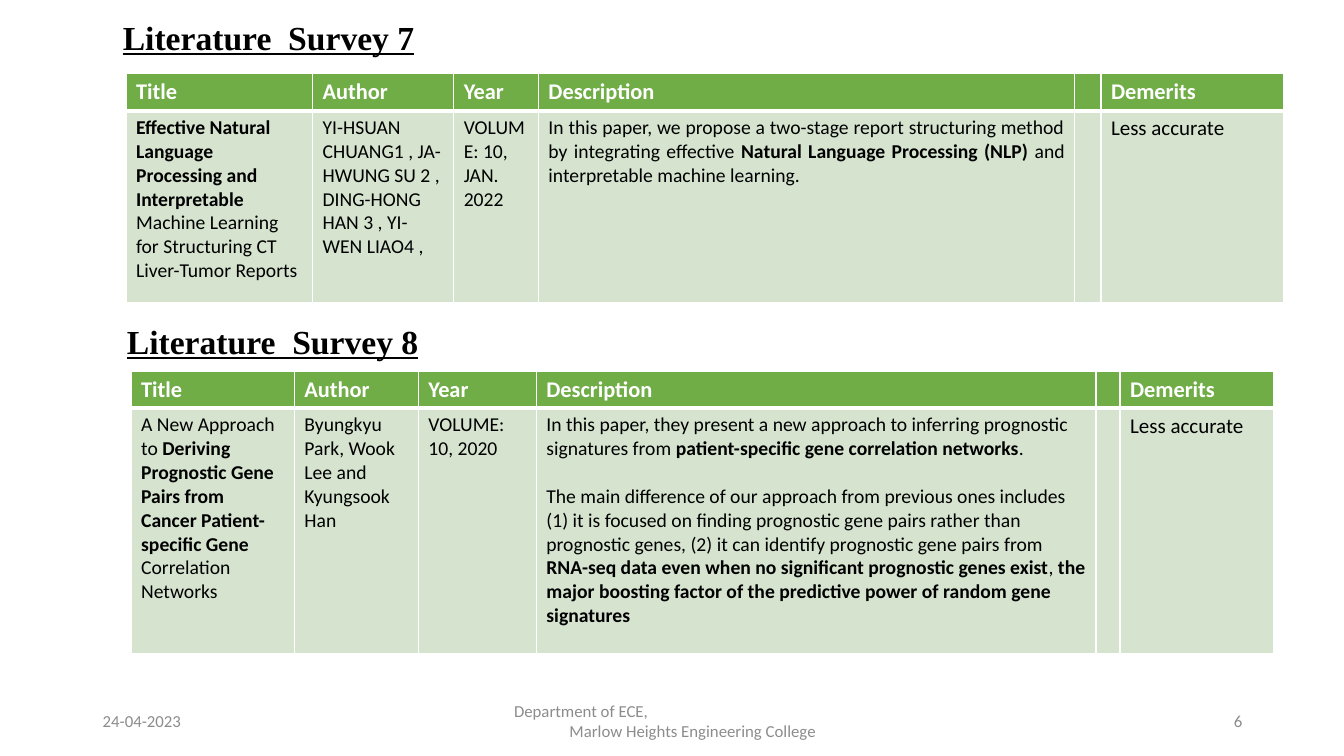
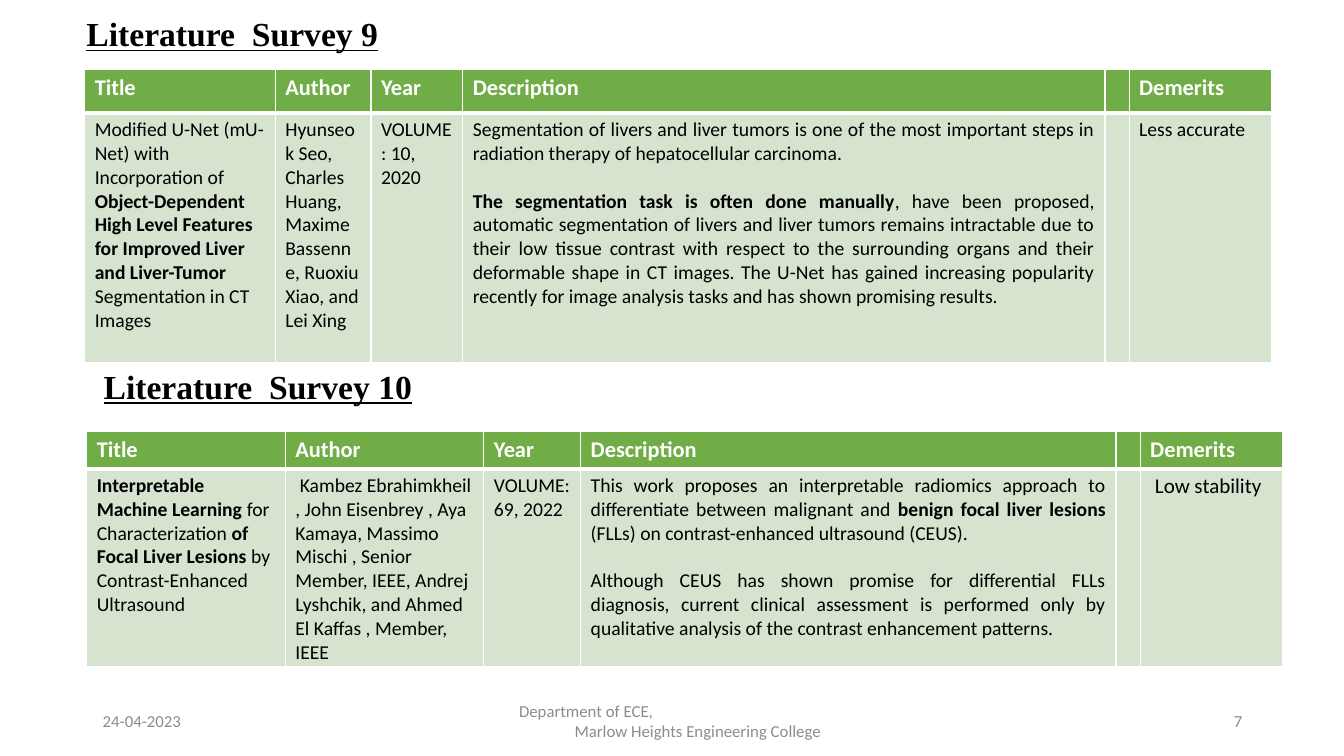
from lxml.etree import SubElement
from pptx import Presentation
from pptx.dml.color import RGBColor
from pptx.enum.text import MSO_ANCHOR as Anchor, PP_ALIGN as Align
from pptx.oxml.ns import qn
from pptx.util import Inches, Pt

GREEN = RGBColor(0x70, 0xAD, 0x47)
PALE_GREEN = RGBColor(0xD5, 0xE3, 0xCF)
WHITE = RGBColor(0xFF, 0xFF, 0xFF)
BLACK = RGBColor(0x00, 0x00, 0x00)
GREY = RGBColor(0x8C, 0x8C, 0x8C)
BODY_FONT = "Calibri"
HEADING_FONT = "Times New Roman"

HEADERS = ["Title", "Author", "Year", "Description", "", "Demerits"]
DESCRIPTION, DEMERITS = 3, 5
DATE = "24-04-2023"
DEPARTMENT = ["Department of ECE,", "Marlow Heights Engineering College"]

SLIDES = [
    {
        "number": 6,
        "department_indent": 0.58,
        "surveys": [
            {
                "heading": "Literature  Survey 7",
                "heading_box": (1.12, 0, 8.36, 0.78),
                "heading_spacing": 0.9,
                "table_at": (1.25, 0.73),
                "columns": [1.85, 1.4, 0.84, 5.32, 0.26, 1.81],
                "rows": [0.37, 1.9],
                "description_align": Align.JUSTIFY,
                "demerits_size": 15,
                "cells": [
                    ["**Effective Natural Language Processing and Interpretable **"
                     "Machine Learning for Structuring CT Liver-Tumor Reports"],
                    ["YI-HSUAN CHUANG1 , JA-HWUNG SU 2 , DING-HONG HAN 3 , YI-WEN LIAO4 ,"],
                    ["VOLUME: 10, JAN. 2022"],
                    ["In this paper, we propose a two-stage report structuring method by "
                     "integrating effective **Natural Language Processing (NLP)** and "
                     "interpretable machine learning."],
                    [""],
                    ["Less accurate"],
                ],
            },
            {
                "heading": "Literature  Survey 8",
                "heading_box": (1.16, 3.13, 5.42, 0.5),
                "heading_spacing": 1.0,
                "table_at": (1.3, 3.68),
                "columns": [1.62, 1.23, 1.17, 5.55, 0.23, 1.52],
                "rows": [0.37, 2.43],
                "description_align": Align.LEFT,
                "demerits_size": 15,
                "cells": [
                    ["A New Approach to **Deriving Prognostic Gene Pairs from Cancer "
                     "Patient-specific Gene **Correlation Networks"],
                    ["Byungkyu Park, Wook Lee and Kyungsook Han"],
                    ["VOLUME: 10, 2020"],
                    ["In this paper, they present a new approach to inferring prognostic "
                     "signatures from **patient-specific gene correlation networks**.",
                     "The main difference of our approach from previous ones includes (1) it "
                     "is focused on finding prognostic gene pairs rather than prognostic "
                     "genes, (2) it can identify prognostic gene pairs from **RNA-seq data "
                     "even when no significant prognostic genes exist**, **the major boosting "
                     "factor of the predictive power of random gene signatures**"],
                    [""],
                    ["Less accurate"],
                ],
            },
        ],
    },
    {
        "number": 7,
        "department_indent": 0.63,
        "surveys": [
            {
                "heading": "Literature  Survey 9",
                "heading_box": (0.76, 0, 11.5, 0.71),
                "heading_spacing": 0.9,
                "table_at": (0.84, 0.69),
                "columns": [1.89, 0.95, 0.91, 6.37, 0.23, 1.41],
                "rows": [0.43, 2.48],
                "description_align": Align.JUSTIFY,
                "demerits_size": 14,
                "cells": [
                    ["Modified U-Net (mU-Net) with Incorporation of **Object-Dependent High "
                     "Level Features for Improved Liver and Liver-Tumor **Segmentation in "
                     "CT Images"],
                    ["Hyunseok Seo, Charles Huang, Maxime Bassenne, Ruoxiu Xiao, and Lei Xing"],
                    ["VOLUME: 10, 2020"],
                    ["Segmentation of livers and liver tumors is one of the most important "
                     "steps in radiation therapy of hepatocellular carcinoma.",
                     "**The segmentation task is often done manually**, have been proposed, "
                     "automatic segmentation of livers and liver tumors remains intractable "
                     "due to their low tissue contrast with respect to the surrounding organs "
                     "and their deformable shape in CT images. The U-Net has gained increasing "
                     "popularity recently for image analysis tasks and has shown promising "
                     "results."],
                    [""],
                    ["Less accurate"],
                ],
            },
            {
                "heading": "Literature  Survey 10",
                "heading_box": (0.93, 3.58, 5.01, 0.5),
                "heading_spacing": 1.0,
                "table_at": (0.86, 4.28),
                "columns": [1.97, 1.97, 0.96, 5.31, 0.23, 1.41],
                "rows": [0.37, 1.96],
                "description_align": Align.JUSTIFY,
                "demerits_size": 15,
                "cells": [
                    ["**Interpretable Machine Learning** for Characterization **of Focal "
                     "Liver Lesions** by Contrast-Enhanced Ultrasound"],
                    [" Kambez Ebrahimkheil , John Eisenbrey , Aya Kamaya, Massimo Mischi , "
                     "Senior Member, IEEE, Andrej Lyshchik, and Ahmed El Kaffas , Member, IEEE"],
                    ["VOLUME: 69, 2022"],
                    ["This work proposes an interpretable radiomics approach to differentiate "
                     "between malignant and **benign focal liver lesions **(FLLs) on "
                     "contrast-enhanced ultrasound (CEUS).",
                     "Although CEUS has shown promise for differential FLLs diagnosis, current "
                     "clinical assessment is performed only by qualitative analysis of the "
                     "contrast enhancement patterns."],
                    [""],
                    [" Low stability"],
                ],
            },
        ],
    },
]


def write_paragraph(paragraph, text, size, color, font=BODY_FONT, align=Align.LEFT):
    paragraph.alignment = align
    if not text:
        SubElement(paragraph._p, qn("a:endParaRPr"), sz=str(size * 100))
    for index, part in enumerate(text.split("**")):
        if part:
            run = paragraph.add_run()
            run.text = part
            run.font.size = Pt(size)
            run.font.name = font
            run.font.color.rgb = color
            run.font.bold = index % 2 == 1


def add_textbox(slide, box, lines, size, color, font=BODY_FONT, align=Align.LEFT):
    frame = slide.shapes.add_textbox(*map(Inches, box)).text_frame
    frame.word_wrap = True
    frame.vertical_anchor = Anchor.MIDDLE
    for index, line in enumerate(lines):
        paragraph = frame.add_paragraph() if index else frame.paragraphs[0]
        write_paragraph(paragraph, line, size, color, font, align)
    return frame.paragraphs


def set_borders(cell, top, bottom):
    properties = cell._tc.get_or_add_tcPr()
    for side, width in (("L", 1), ("R", 1), ("T", top), ("B", bottom)):
        line = SubElement(properties, qn(f"a:ln{side}"), w=str(Pt(width)))
        fill = SubElement(line, qn("a:solidFill"))
        SubElement(fill, qn("a:srgbClr"), val=str(WHITE))


def fill_cell(cell, paragraphs, size, color, background, borders, align=Align.LEFT):
    set_borders(cell, *borders)
    cell.fill.solid()
    cell.fill.fore_color.rgb = background
    frame = cell.text_frame
    for index, text in enumerate(paragraphs):
        paragraph = frame.add_paragraph() if index else frame.paragraphs[0]
        write_paragraph(paragraph, text, size, color, align=align)
        if index:
            paragraph.space_before = Pt(17)


def add_survey(slide, survey):
    heading = add_textbox(slide, survey["heading_box"], [f"**{survey['heading']}**"],
                          24, BLACK, HEADING_FONT)[0]
    heading.line_spacing = survey["heading_spacing"]
    heading.runs[0].font.underline = True

    columns, rows = survey["columns"], survey["rows"]
    table = slide.shapes.add_table(
        len(rows), len(columns), *map(Inches, survey["table_at"]),
        Inches(sum(columns)), Inches(sum(rows))).table
    table.horz_banding = False
    for row, height in zip(table.rows, rows):
        row.height = Inches(height)
    for index, width in enumerate(columns):
        table.columns[index].width = Inches(width)
        header = HEADERS[index]
        fill_cell(table.cell(0, index), [f"**{header}**" if header else ""],
                  16, WHITE, GREEN, (1, 3))
        size = survey["demerits_size"] if index == DEMERITS else 14
        align = survey["description_align"] if index == DESCRIPTION else Align.LEFT
        fill_cell(table.cell(1, index), survey["cells"][index],
                  size, BLACK, PALE_GREEN, (3, 1), align)


def add_footer(slide, number, department_indent):
    add_textbox(slide, (0.92, 6.95, 3, 0.4), [DATE], 12, GREY)
    add_textbox(slide, (9.42, 6.95, 3, 0.4), [str(number)], 12, GREY, align=Align.RIGHT)
    department = add_textbox(slide, (4.42, 6.95, 4.5, 0.4), DEPARTMENT, 12, GREY)
    for index, paragraph in enumerate(department):
        indent = Inches(department_indent + 0.55 * index)
        paragraph._p.get_or_add_pPr().set("marL", str(indent))


def main():
    presentation = Presentation()
    presentation.slide_width = Inches(13.33)
    presentation.slide_height = Inches(7.5)
    for content in SLIDES:
        slide = presentation.slides.add_slide(presentation.slide_layouts[6])
        for survey in content["surveys"]:
            add_survey(slide, survey)
        add_footer(slide, content["number"], content["department_indent"])
    presentation.save("out.pptx")


if __name__ == "__main__":
    main()
